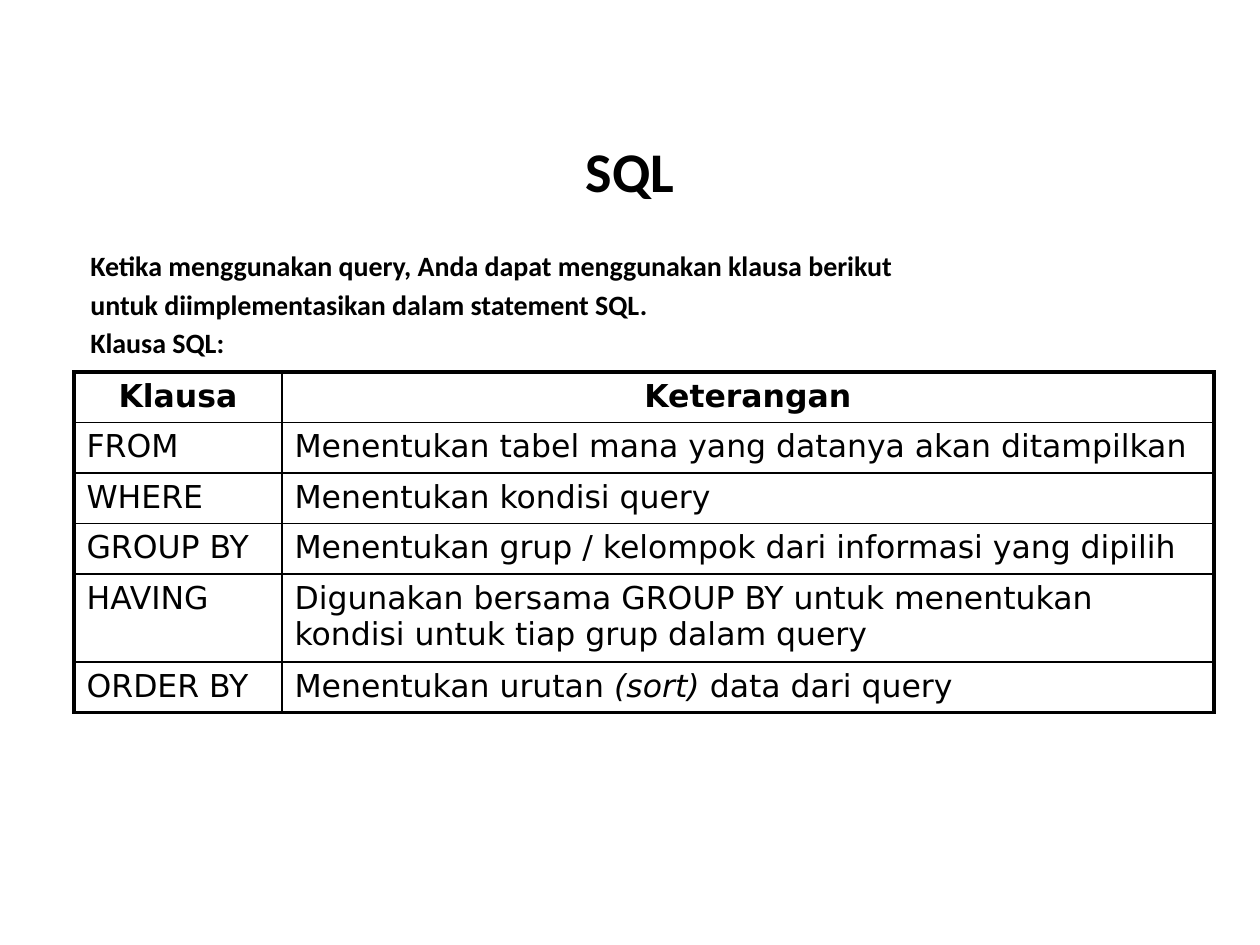
"""Build a slide that lists the SQL clauses and what each one does."""
import dataclasses

import pptx
import pptx.dml.color
import pptx.enum.text
import pptx.oxml
import pptx.oxml.ns
import pptx.util

PX = 914400 // 126
BLACK = pptx.dml.color.RGBColor(0, 0, 0)
THIN, THICK = 1, 2.25
ALIGN = pptx.enum.text.PP_ALIGN
ANCHOR = pptx.enum.text.MSO_ANCHOR
HEAD = {"name": "Calibri", "size": pptx.util.Pt(32), "bold": True}
BODY = {"name": "Calibri", "size": pptx.util.Pt(16), "bold": True}
CELL = {"name": "DejaVu Sans", "size": pptx.util.Pt(18), "bold": False}
LINES = (
    "Ketika menggunakan query, Anda dapat menggunakan klausa berikut",
    "untuk diimplementasikan dalam statement SQL.",
    "Klausa SQL:",
)


@dataclasses.dataclass(frozen=True)
class Box:
    """A place on the slide, in px."""
    left: int
    top: int
    width: int
    height: int

    def emu(self) -> tuple[int, ...]:
        """Return the place in EMU."""
        return tuple(v * PX for v in dataclasses.astuple(self))


@dataclasses.dataclass(frozen=True)
class Row:
    """One clause, the runs that explain it, and its height in px."""
    clause: str
    notes: tuple[str, ...]
    height: int = 49


TITLE = Box(79, 42, 1102, 168)
INTRO = Box(78, 242, 1138, 588)
GRID = Box(74, 372, 1140, 331)
COLS = (208, 932)
ROWS = (
    Row("Klausa", ("Keterangan",)),
    Row("FROM", ("Menentukan tabel mana yang datanya akan ditampilkan",)),
    Row("WHERE", ("Menentukan kondisi query",)),
    Row("GROUP BY", ("Menentukan grup / kelompok dari informasi yang dipilih",)),
    Row("HAVING", ("Digunakan bersama GROUP BY untuk menentukan "
                   "kondisi untuk tiap grup dalam query",), 86),
    Row("ORDER BY", ("Menentukan urutan ", "(sort) ", "data dari query")),
)


def style(item, values: dict) -> None:
    """Set each named value on the item."""
    for key, value in values.items():
        setattr(item, key, value)


def write(para, text: str, font: dict, **extra) -> None:
    """Add a black run to the paragraph."""
    run = para.add_run()
    run.text = text
    style(run.font, font | extra)
    run.font.color.rgb = BLACK


def border(cell, sides: dict[str, float]) -> None:
    """Draw the four sides of a cell, with widths in points."""
    props = cell._tc.get_or_add_tcPr()
    for spot, (side, width) in enumerate(sides.items()):
        line = pptx.oxml.parse_xml(
            f'<a:ln{side} {pptx.oxml.ns.nsdecls("a")} w="{pptx.util.Pt(width)}">'
            f'<a:solidFill><a:srgbClr val="{BLACK}"/></a:solidFill></a:ln{side}>')
        props.insert(spot, line)


def add_title(slide) -> None:
    """Place and fill the title."""
    shape = slide.shapes.title
    style(shape, dict(zip(("left", "top", "width", "height"), TITLE.emu())))
    shape.text_frame.vertical_anchor = ANCHOR.BOTTOM
    para = shape.text_frame.paragraphs[0]
    para.alignment = ALIGN.CENTER
    write(para, "SQL", HEAD)


def add_intro(slide) -> None:
    """Add the lines above the table."""
    frame = slide.shapes.add_textbox(*INTRO.emu()).text_frame
    frame.word_wrap = True
    for spot, text in enumerate(LINES):
        para = frame.add_paragraph() if spot else frame.paragraphs[0]
        para.space_before = pptx.util.Pt(3)
        write(para, text, BODY)


def add_grid(slide) -> None:
    """Add the table of clauses."""
    table = slide.shapes.add_table(len(ROWS), len(COLS), *GRID.emu()).table
    style(table, {"first_row": False, "horz_banding": False})
    for col, width in zip(table.columns, COLS):
        col.width = width * PX
    last = len(ROWS) - 1
    for y, row in enumerate(ROWS):
        table.rows[y].height = row.height * PX
        for x, runs in enumerate(((row.clause,), row.notes)):
            cell = table.cell(y, x)
            cell.fill.background()
            border(cell, {"L": THIN if x else THICK, "R": THICK if x else THIN,
                          "T": THIN if y else THICK,
                          "B": THICK if y == last else THIN})
            para = cell.text_frame.paragraphs[0]
            para.alignment = ALIGN.LEFT if y else ALIGN.CENTER
            for spot, text in enumerate(runs):
                write(para, text, CELL, bold=y == 0, italic=spot == 1)


def main() -> None:
    """Build and save the slide."""
    deck = pptx.Presentation()
    style(deck, {"slide_width": 1260 * PX, "slide_height": 945 * PX})
    slide = deck.slides.add_slide(deck.slide_layouts[5])
    add_title(slide)
    add_intro(slide)
    add_grid(slide)
    deck.save("out.pptx")


if __name__ == "__main__":
    main()
